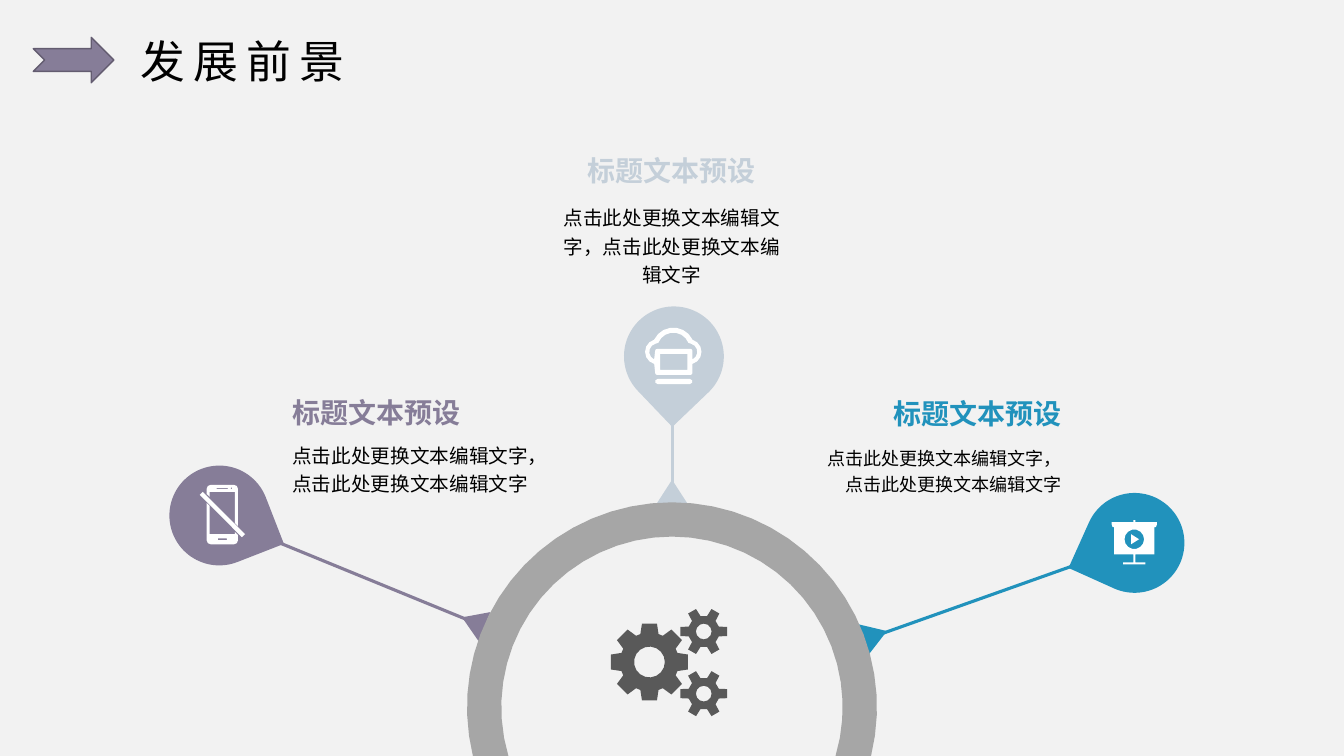
import math

import lxml.etree
import pptx
import pptx.dml.color
import pptx.enum.shapes
import pptx.enum.text
import pptx.oxml.ns
import pptx.util

Pt = pptx.util.Pt
KIND = pptx.enum.shapes.MSO_SHAPE
ALIGN = pptx.enum.text.PP_ALIGN
ANCHOR = pptx.enum.text.MSO_ANCHOR
FACE = "Noto Sans CJK SC"
MAUVE, MIST, BLUE = "867D98", "C4CFD9", "2192BC"
WHITE, BLACK, GREY, DARK = "FFFFFF", "000000", "A6A6A6", "595959"
HEAD = "标题文本预设"
BODY = "点击此处更换文本编辑文字，点击此处更换文本编辑文字"


def tint(hue):
    return pptx.dml.color.RGBColor.from_string(hue)


def paint(shape, hue):
    shape.shadow.inherit = False
    shape.fill.solid()
    shape.fill.fore_color.rgb = tint(hue)
    shape.line.fill.background()


def preset(shapes, kind, box, hue, turn=0):
    shape = shapes.add_shape(kind, *map(Pt, box))
    shape.rotation = turn
    paint(shape, hue)
    return shape


def arc(x, y, radius, start, end):
    """Points along an arc, in degrees clockwise from the right."""
    count = max(2, round(abs(end - start) * math.sqrt(radius) / 70))
    angles = [math.radians(start + (end - start) * i / count)
              for i in range(count + 1)]
    return [(x + radius * math.cos(a), y + radius * math.sin(a))
            for a in angles]


def disc(x, y, radius):
    return arc(x, y, radius, 0, 360)[:-1]


def rect(left, top, right, foot):
    return [(left, top), (right, top), (right, foot), (left, foot)]


def gear(x, y, teeth, tip, root, hole):
    """Outline and hole of a gear with one tooth pointing right."""
    rim = []
    for i in range(teeth):
        mid = 360 / teeth * i
        for turn, reach in ((-18, root), (-11, tip), (11, tip), (18, root)):
            angle = math.radians(mid + turn)
            rim.append((x + reach * math.cos(angle),
                        y + reach * math.sin(angle)))
    return [rim, disc(x, y, hole)]


def draw(shapes, box, loops, hue):
    """One freeform from closed loops, placed from the box's corner."""
    left, top = box[:2]
    pen = None
    for loop in loops:
        spots = [(Pt(left + x), Pt(top + y)) for x, y in loop]
        if pen is None:
            pen = shapes.build_freeform(*spots[0], scale=1.0)
        else:
            pen.move_to(*spots[0])
        pen.add_line_segments(spots[1:], close=True)
    paint(pen.convert_to_shape(), hue)


def style(para, size, hue, bold=False, space=None):
    font = para.font
    font.name, font.size, font.bold = FACE, Pt(size), bold
    font.color.rgb = tint(hue)
    props = font._rPr
    lxml.etree.SubElement(props, pptx.oxml.ns.qn("a:ea"), typeface=FACE)
    if space:
        props.set("spc", str(space * 100))


def write(shapes, box, text, size, hue, align, inset, bold=False,
          anchor=ANCHOR.MIDDLE, pitch=1.2):
    frame = shapes.add_textbox(*map(Pt, box)).text_frame
    frame.word_wrap = True
    frame.vertical_anchor = anchor
    frame.margin_left = frame.margin_right = Pt(inset)
    frame.margin_top = frame.margin_bottom = 0
    para = frame.paragraphs[0]
    para.text, para.alignment, para.line_spacing = text, align, pitch
    style(para, size, hue, bold)


def header(slide, box):
    left, top, width, height = box
    arrow = preset(slide.shapes, KIND.NOTCHED_RIGHT_ARROW,
                   (left, top + 6.5, 57.6, 32.4), MAUVE)
    arrow.line.color.rgb = tint("635C70")
    arrow.line.width = Pt(1)
    title = slide.shapes.title
    title.left, title.top = Pt(left + 69), Pt(top)
    title.width, title.height = Pt(width - 69), Pt(height)
    frame = title.text_frame
    frame.auto_size = pptx.enum.text.MSO_AUTO_SIZE.NONE
    frame.vertical_anchor = ANCHOR.MIDDLE
    para = frame.paragraphs[0]
    para.text, para.alignment = "发展前景", ALIGN.LEFT
    style(para, 32, BLACK, space=6)


def branch(shapes, box, hue, aim, ends, base, tilt):
    """Drop pointing at the bearing aim, its line, and the line's foot."""
    left, top = box[:2]
    preset(shapes, KIND.TEAR, box, hue, aim - 45)
    spots = [Pt(v) for x, y in ends for v in (left + x, top + y)]
    line = shapes.add_connector(
        pptx.enum.shapes.MSO_CONNECTOR.STRAIGHT, *spots)
    line.line.color.rgb = tint(hue)
    line.line.width = Pt(2.25)
    lxml.etree.SubElement(line._element.spPr,
                          pptx.oxml.ns.qn("a:effectLst"))
    preset(shapes, KIND.ISOSCELES_TRIANGLE,
           (left + base[0], top + base[1], 22.3, 17.3), hue, tilt)


def caption(shapes, box, hue, align, size, drop, inset):
    left, top, width, height = box
    write(shapes, (left, top + drop, width, height - drop), BODY, size,
          BLACK, align, inset)
    write(shapes, (left, top, width, drop - 3), HEAD, 20, hue, align, inset,
          bold=True, anchor=ANCHOR.TOP, pitch=1)


def ring(shapes, box):
    """Ring cut off by the foot of the box."""
    width, height = box[2:]
    outer, inner = width / 2, width / 2 - 24.5
    loop = []
    for radius, way in ((outer, 1), (inner, -1)):
        dip = math.degrees(math.asin((height - outer) / radius))
        loop += arc(outer, outer, radius, 180 - dip, 360 + dip)[::way]
    draw(shapes, box, [loop], GREY)


def phone(shapes, box):
    lower = [(5, 13), (7.2, 15.1), (7.2, 35.3), (25.2, 35.3), (25.2, 33.8),
             (27.4, 36), *arc(24.5, 39.6, 2.9, 0, 90),
             *arc(7.9, 39.6, 2.9, 90, 180)]
    upper = [*arc(7.9, 2.9, 2.9, 180, 270), *arc(24.5, 2.9, 2.9, 270, 360),
             (27.4, 29.5), (25.2, 27.4), (25.2, 5), (7.2, 5), (7.2, 8.6),
             (5, 6.5)]
    slash = [(2.2, 5), (32.4, 35.3), (30.2, 37.4), (0, 7.2)]
    draw(shapes, box, [lower, upper, slash, rect(13, 38.2, 19.4, 39.6),
                       rect(12.2, 2.2, 20.2, 2.9), disc(22.7, 2.5, 0.7)],
         WHITE)


def cloud(shapes, box):
    outer = [*arc(20.2, 15.2, 15.2, 206, 334), *arc(31.3, 17.3, 9, -74, 74),
             *arc(32.4, 32.4, 1.4, 0, 90), *arc(8.6, 32.4, 1.4, 90, 180),
             *arc(9, 17.3, 9, 106, 254)]
    inner = [*arc(20.2, 15.2, 11.6, 202, 338),
             *arc(31.3, 17.3, 6, -75, 65), *arc(32.4, 16.6, 1.4, 0, -90),
             *arc(8.6, 16.6, 1.4, 270, 180), *arc(9, 17.3, 6, 115, 255)]
    bar = arc(9, 38.5, 1.8, 90, 270) + arc(32, 38.5, 1.8, -90, 90)
    draw(shapes, box, [outer, inner, rect(10.8, 18.7, 30.2, 30.2), bar],
         WHITE)


def board(shapes, box):
    half = [(0.7, 0), (0.7, 1.4), (16.2, 1.4), (16.2, 2.9), (15.5, 5),
            (14.4, 5), (14.4, 24.5), (0.7, 24.5), (0.7, 30.2), (8, 30.2),
            (8, 31.7)]
    mid = 16
    edge = ([(mid + x, y) for x, y in half]
            + [(mid - x, y) for x, y in half[::-1]])
    play = [(13.7, 10.1), (19.4, 13.7), (13.7, 17.3)]
    draw(shapes, box, [edge, disc(mid, 13.7, 7), play], WHITE)


def gears(shapes, box):
    loops = gear(27.6, 38, 8, 28, 21, 11)
    for y in (16.2, 60.6):
        loops += gear(66.4, y, 6, 17, 11.3, 5.6)
    draw(shapes, box, loops, DARK)


def main():
    deck = pptx.Presentation()
    deck.slide_width, deck.slide_height = Pt(960), Pt(540)
    slide = deck.slides.add_slide(deck.slide_layouts[5])
    slide.background.fill.solid()
    slide.background.fill.fore_color.rgb = tint("F2F2F2")
    shapes = slide.shapes
    header(slide, (23.8, 20.2, 355, 46))
    branch(shapes, (774.7, 352.1, 71.3, 71.3), BLUE, 249.2,
           ((-3.6, 50.4), (-157.7, 105.1)), (-160.5, 92.9), 70.6)
    branch(shapes, (445.7, 218.9, 71.3, 71.3), MIST, 181.3,
           ((34.5, 82.8), (34.5, 141.1)), (23.2, 123.8), 0)
    branch(shapes, (121, 332.6, 71.3, 71.3), MAUVE, 113.7,
           ((74.1, 53.3), (225.3, 115.2)), (205.9, 103), 292.4)
    ring(shapes, (333.6, 358.8, 292.8, 181.2))
    caption(shapes, (400.3, 109.4, 159.1, 92.9), MIST, ALIGN.CENTER,
            14, 36.7, 0)
    caption(shapes, (574.6, 283, 189.4, 78.5), BLUE, ALIGN.RIGHT,
            12.9, 25.2, 5.8)
    caption(shapes, (203, 282.2, 193.7, 78.5), MAUVE, ALIGN.LEFT,
            14, 25.2, 5.8)
    phone(shapes, (142.6, 346.3, 32.4, 42.5))
    cloud(shapes, (460.8, 234, 40.3, 40.3))
    board(shapes, (794.2, 371.5, 32.2, 31.7))
    gears(shapes, (436.3, 434.9, 83, 76))
    deck.save("out.pptx")


if __name__ == "__main__":
    main()
